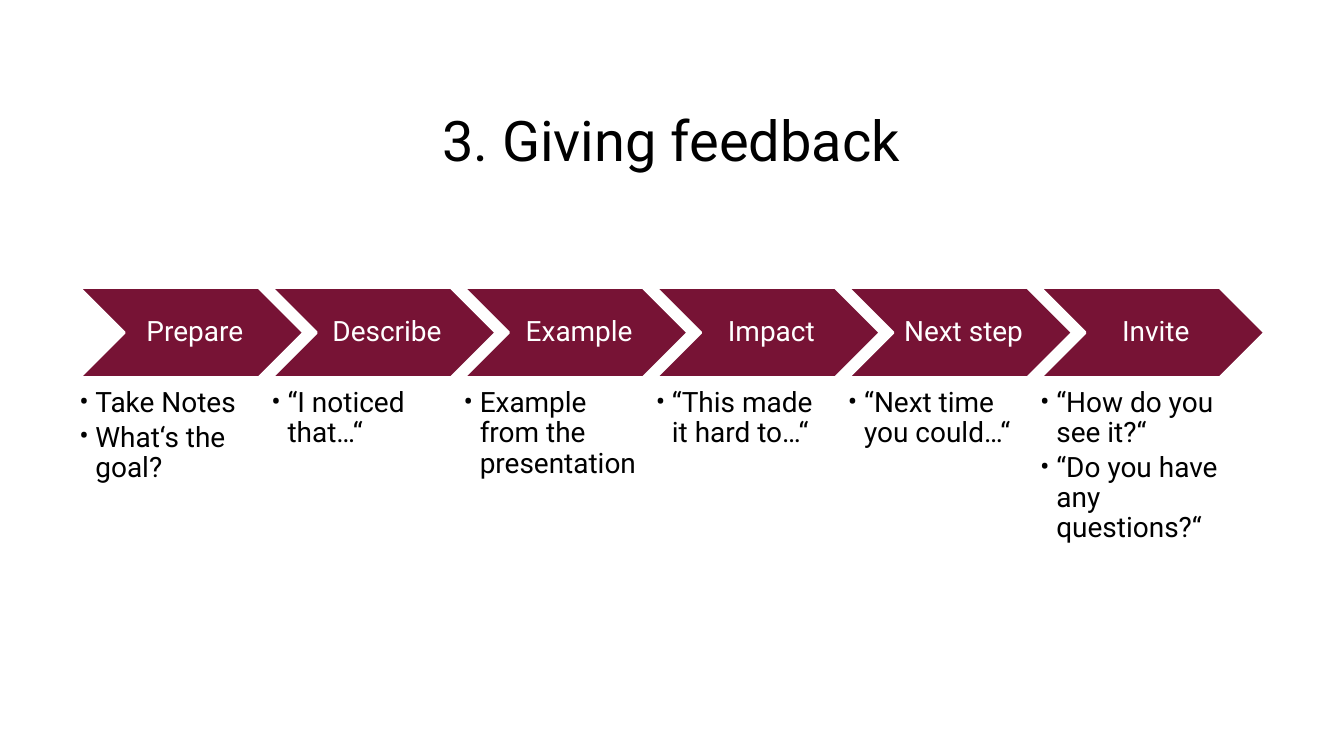
from lxml import etree
from pptx import Presentation
from pptx.dml.color import RGBColor
from pptx.enum.shapes import MSO_SHAPE
from pptx.enum.text import MSO_ANCHOR, PP_ALIGN
from pptx.oxml.ns import qn
from pptx.util import Inches, Pt

CHEVRON = MSO_SHAPE.CHEVRON
TOP, MIDDLE = MSO_ANCHOR.TOP, MSO_ANCHOR.MIDDLE
LEFT, CENTER = PP_ALIGN.LEFT, PP_ALIGN.CENTER
WINE = RGBColor(0x77, 0x13, 0x35)
BLACK = RGBColor(0, 0, 0)
WHITE = RGBColor(0xFF, 0xFF, 0xFF)
FONT = "Roboto"

STEP_PITCH = 1.43
CHEVRON_W, CHEVRON_H = 1.67, 0.67
NOTES_W, NOTES_H, NOTES_GAP = 1.33, 1.05, 0.08
BULLET_INDENT = 0.12

STEPS = [
    ("Prepare", ["Take Notes", "What‘s the goal?"]),
    ("Describe", ["“I noticed that…“"]),
    ("Example", ["Example from the presentation"]),
    ("Impact", ["“This made it hard to…“"]),
    ("Next step", ["“Next time you could…“"]),
    ("Invite", ["“How do you see it?“", "“Do you have any questions?“"]),
]


def add_bullet(p):
    pPr = p._p.get_or_add_pPr()
    pPr.set("marL", str(Inches(BULLET_INDENT)))
    pPr.set("indent", str(-Inches(BULLET_INDENT)))
    etree.SubElement(pPr, qn("a:buFont")).set("typeface", FONT)
    etree.SubElement(pPr, qn("a:buChar")).set("char", "•")


def write(sp, lines, size=15, color=BLACK, align=LEFT, anchor=TOP,
          margins=(0, 0, 0, 0), after=0, bullets=False):
    tf = sp.text_frame
    tf.word_wrap = True
    tf.vertical_anchor = anchor
    (tf.margin_left, tf.margin_top,
     tf.margin_right, tf.margin_bottom) = map(Inches, margins)
    for i, line in enumerate(lines):
        p = tf.paragraphs[0] if i == 0 else tf.add_paragraph()
        if bullets:
            add_bullet(p)
        p.alignment = align
        p.line_spacing = 0.9
        p.space_after = Pt(after)
        r = p.add_run()
        r.text = line
        r.font.name, r.font.size = FONT, Pt(size)
        r.font.color.rgb = color


def add_title(s, x, y, w, h, text):
    sp = s.shapes.add_textbox(Inches(x), Inches(y), Inches(w), Inches(h))
    write(sp, [text], size=30, align=CENTER, anchor=MIDDLE)


def add_step(s, x, y, name, notes):
    # Chevron with the step name
    sp = s.shapes.add_shape(CHEVRON, Inches(x), Inches(y),
                            Inches(CHEVRON_W), Inches(CHEVRON_H))
    sp.shadow.inherit = False
    sp.fill.solid()
    sp.fill.fore_color.rgb = WINE
    sp.line.color.rgb = WHITE
    sp.line.width = Pt(1.5)
    write(sp, [name], color=WHITE, align=CENTER, anchor=MIDDLE,
          margins=(0.07, 0.02, 0.02, 0.02))

    # Bulleted notes below
    sp = s.shapes.add_textbox(Inches(x), Inches(y + CHEVRON_H + NOTES_GAP),
                              Inches(NOTES_W), Inches(NOTES_H))
    write(sp, notes, after=2.25, bullets=True)


def add_process(s, x, y, steps):
    for i, (name, notes) in enumerate(steps):
        add_step(s, x + i * STEP_PITCH, y, name, notes)


def main():
    prs = Presentation()
    # Widescreen, 16:9
    prs.slide_width = Inches(10)
    prs.slide_height = prs.slide_width * 9 // 16
    s = prs.slides.add_slide(prs.slide_layouts[6])
    add_title(s, 1.06, 0.72, 7.87, 0.69, "3. Giving feedback")
    add_process(s, 0.59, 2.14, STEPS)
    prs.save("out.pptx")


if __name__ == "__main__":
    main()
